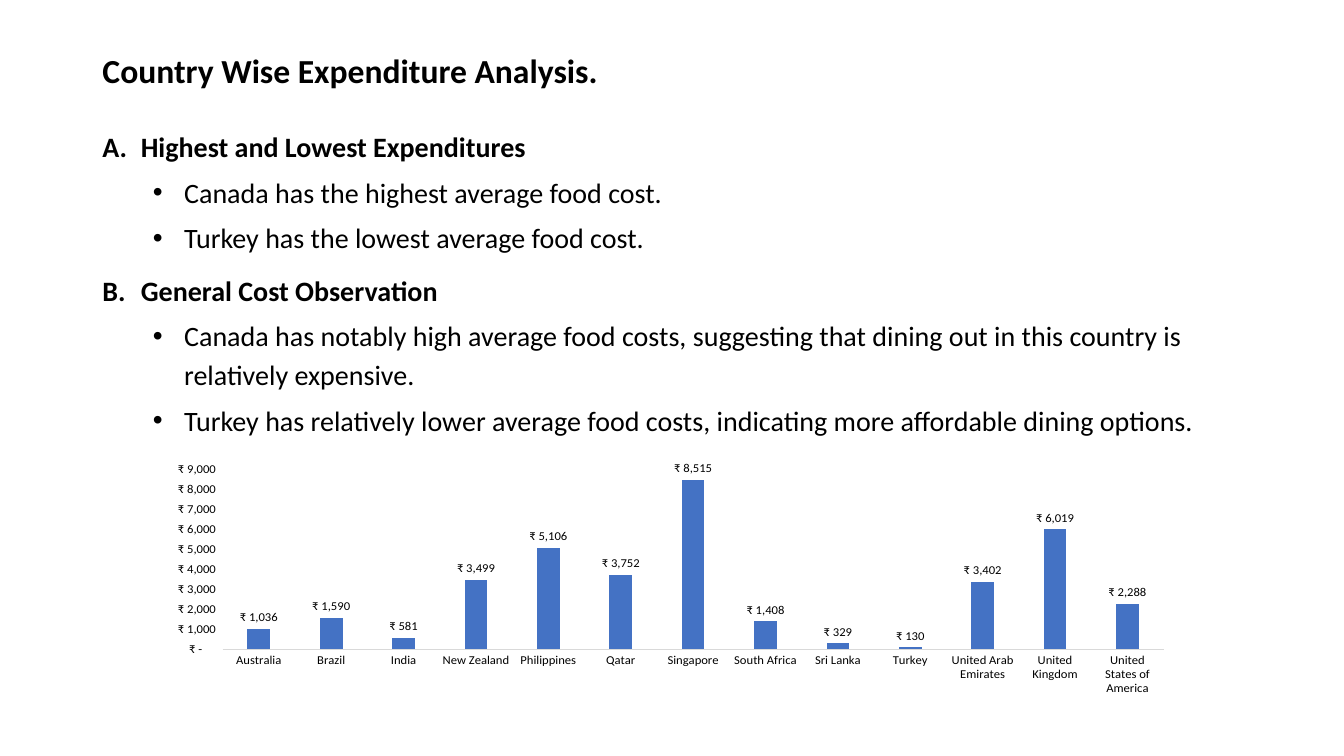
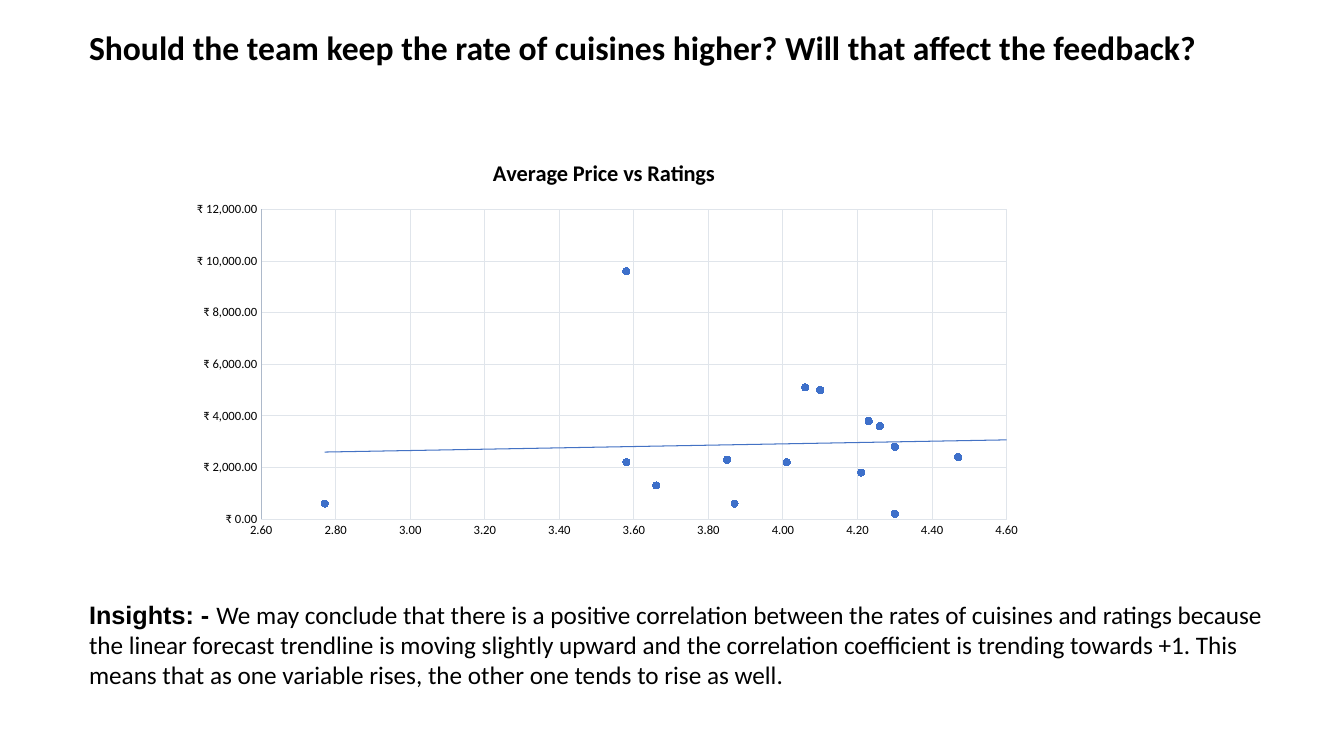
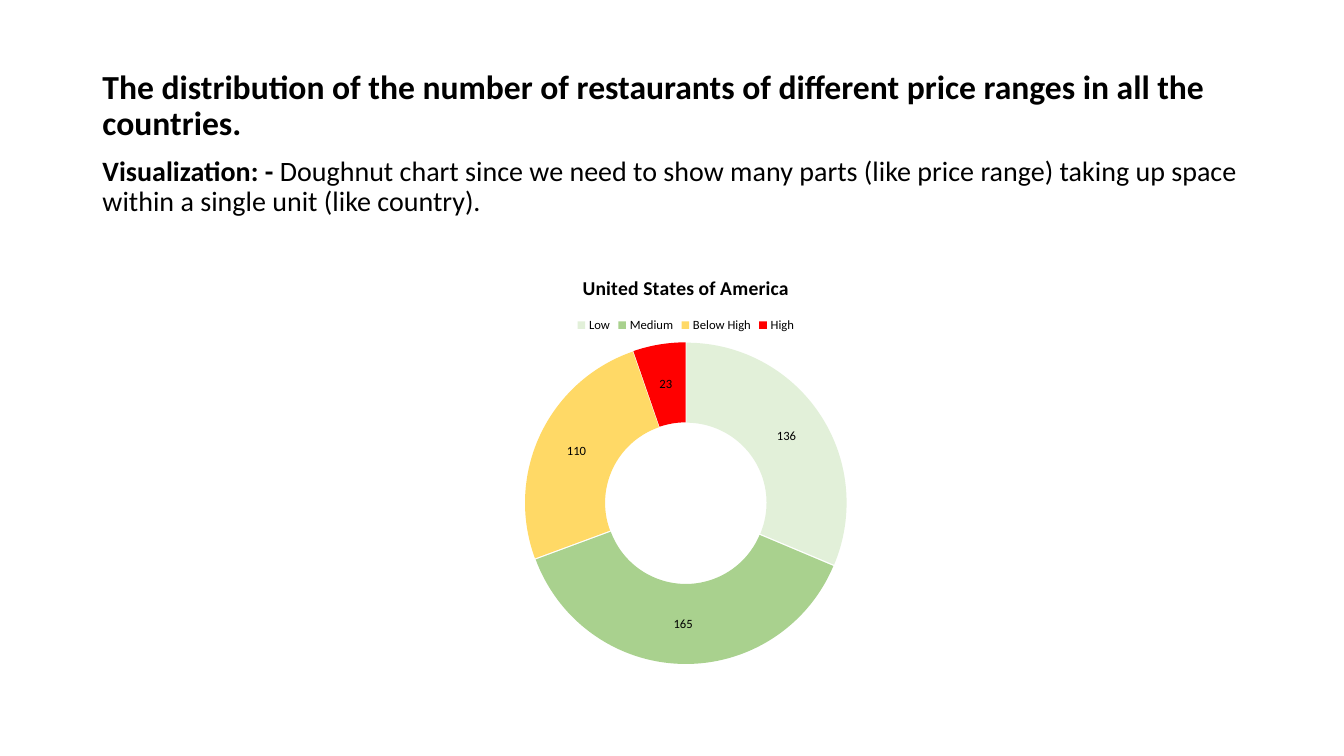
from pptx import Presentation
from pptx.chart.data import CategoryChartData, XyChartData
from pptx.dml.color import RGBColor
from pptx.enum.chart import XL_CHART_TYPE as Kind
from pptx.enum.chart import XL_LABEL_POSITION as LabelPlace
from pptx.enum.chart import XL_LEGEND_POSITION as LegendPlace
from pptx.enum.chart import XL_MARKER_STYLE as Marker
from pptx.enum.chart import XL_TICK_MARK as Tick
from pptx.enum.text import MSO_ANCHOR as Anchor
from pptx.enum.text import MSO_AUTO_SIZE as AutoSize
from pptx.enum.text import PP_ALIGN as Align
from pptx.oxml import parse_xml
from pptx.oxml.ns import nsdecls, qn
from pptx.util import Inches, Pt

COLUMNS, ROWS = 160, 90
BLUE, MARKER_BLUE = "4472C4", "3E70CA"
BASELINE_GREY, GRID_GREY, AXIS_GREY = "D9D9D9", "E0E5EB", "ADB9CA"
RUPEES = r'_ [$₹-4009]\ * #,##0_ ;_ [$₹-4009]\ * \-#,##0_ ;_ [$₹-4009]\ * "-"??_ ;_ @_ '
RUPEES_EXACT = r"[$₹-4009]\ #,##0.00"


def color(value):
    return RGBColor.from_string(value)


def insert_before(series, tag, xml):
    series._element.find(qn(tag)).addprevious(parse_xml(xml))


class Report:
    font = "Calibri"
    ink = "000000"
    title_size = 24
    body_size = 20

    def __init__(self):
        self.deck = Presentation()
        self.deck.slide_width = Inches(13.33)
        self.deck.slide_height = Inches(7.5)
        self.page = None

    def add_page(self):
        self.page = self.deck.slides.add_slide(self.deck.slide_layouts[1])

    def area(self, left, top, width, height):
        column = self.deck.slide_width / COLUMNS
        row = self.deck.slide_height / ROWS
        return [round(n) for n in (left * column, top * row, width * column, height * row)]

    def style(self, font, size, bold=False, name=None):
        font.name = name or self.font
        font.size = Pt(size)
        font.bold = bold
        font.color.rgb = color(self.ink)

    def place(self, box, area, anchor=Anchor.TOP):
        box.left, box.top, box.width, box.height = self.area(*area)
        frame = box.text_frame
        frame.auto_size = AutoSize.NONE
        frame.word_wrap = True
        frame.vertical_anchor = anchor
        return frame

    def title(self, text, area, anchor=Anchor.TOP):
        frame = self.place(self.page.shapes.title, area, anchor)
        frame.text = text
        para = frame.paragraphs[0]
        para.alignment = Align.LEFT
        para.line_spacing = 0.9
        self.style(para.runs[0].font, self.title_size, True)

    def bullet(self, para, margin, hanging, marks):
        properties = para._p.get_or_add_pPr()
        properties.set("marL", str(Inches(margin)))
        properties.set("indent", str(-Inches(hanging)))
        for mark in marks:
            properties.append(parse_xml(mark.replace("/>", f" {nsdecls('a')}/>")))

    def outline(self, sections, area):
        frame = self.place(self.page.placeholders[1], area)
        lines = []
        for heading, points in sections:
            lines += [(heading, 0)] + [(point, 1) for point in points]
        frame.text = "\n".join(text for text, level in lines)
        for para, (text, level) in zip(frame.paragraphs, lines):
            para.level = level
            para.line_spacing = 1.15
            para.space_before = Pt(5 if level else 10)
            self.style(para.runs[0].font, self.body_size, level == 0)
            if level:
                self.bullet(para, 0.81, 0.31, ['<a:buFont typeface="Arial"/>', '<a:buChar char="•"/>'])
            else:
                self.bullet(para, 0.38, 0.38, ['<a:buFont typeface="+mj-lt"/>', '<a:buAutoNum type="alphaUcPeriod"/>'])

    def remark(self, lead, text, area, size, spacing, lead_font=None):
        para = self.place(self.page.placeholders[1], area).paragraphs[0]
        para.line_spacing = spacing
        para.space_before = Pt(0)
        self.bullet(para, 0, 0, ["<a:buNone/>"])
        for words, bold, name in ((lead, True, lead_font), (text, False, None)):
            span = para.add_run()
            span.text = words
            self.style(span.font, size, bold, name)

    def chart(self, kind, data, area, plot, title=None, title_size=14):
        chart = self.page.shapes.add_chart(kind, *self.area(*area), data).chart
        self.style(chart.font, 10)
        chart.has_legend = False
        chart.has_title = title is not None
        if title:
            frame = chart.chart_title.text_frame
            frame.text = title
            self.style(frame.paragraphs[0].runs[0].font, title_size, True)
            chart.chart_title.include_in_layout = False
        self.plot_area(chart, plot)
        chart.plots[0].vary_by_categories = False
        return chart

    def plot_area(self, chart, plot):
        parts = '<c:layoutTarget val="inner"/><c:xMode val="edge"/><c:yMode val="edge"/>'
        parts += "".join(f'<c:{key} val="{share}"/>' for key, share in zip("xywh", plot))
        layout = parse_xml(f"<c:layout {nsdecls('c')}><c:manualLayout>{parts}</c:manualLayout></c:layout>")
        plot_box = chart._chartSpace.chart.plotArea
        for old in plot_box.findall(qn("c:layout")):
            plot_box.remove(old)
        plot_box.insert(0, layout)

    def line(self, line, shade):
        line.color.rgb = color(shade)
        line.width = Pt(0.75)

    def axis(self, axis, shade=None, grid=None, scale=None, number_format=None):
        axis.major_tick_mark = axis.minor_tick_mark = Tick.NONE
        self.style(axis.tick_labels.font, 9)
        axis.has_major_gridlines = grid is not None
        if grid:
            self.line(axis.major_gridlines.format.line, grid)
        if shade:
            self.line(axis.format.line, shade)
        else:
            axis.format.line.fill.background()
        if scale:
            axis.minimum_scale, axis.maximum_scale, axis.major_unit = scale
        if number_format:
            axis.tick_labels.number_format = number_format
            axis.tick_labels.number_format_is_linked = False

    def labels(self, series, number_format, position=None):
        labels = series.data_labels
        labels.show_value = True
        labels.number_format = number_format
        labels.number_format_is_linked = False
        self.style(labels.font, 9)
        if position is not None:
            labels.position = position

    def columns(self, values, area, plot, scale):
        data = CategoryChartData()
        data.categories = list(values)
        data.add_series("Series 1", list(values.values()))
        chart = self.chart(Kind.COLUMN_CLUSTERED, data, area, plot)
        bars = chart.plots[0]
        bars.gap_width, bars.overlap = 219, -27
        series = bars.series[0]
        series.format.fill.solid()
        series.format.fill.fore_color.rgb = color(BLUE)
        self.labels(series, RUPEES, LabelPlace.OUTSIDE_END)
        self.axis(chart.category_axis, BASELINE_GREY)
        self.axis(chart.value_axis, scale=scale, number_format=RUPEES)

    def scatter(self, title, points, area, plot, x_scale, y_scale):
        data = XyChartData()
        cloud = data.add_series("Series 1")
        for x, y in points:
            cloud.add_data_point(x, y)
        chart = self.chart(Kind.XY_SCATTER, data, area, plot, title, 16)
        series = chart.plots[0].series[0]
        series.format.line.fill.background()
        series.marker.style = Marker.CIRCLE
        series.marker.size = 5
        series.marker.format.fill.solid()
        series.marker.format.fill.fore_color.rgb = color(MARKER_BLUE)
        series.marker.format.line.fill.background()
        forward = round(x_scale[1] - max(x for x, y in points), 2)
        insert_before(series, "c:xVal", (
            f'<c:trendline {nsdecls("c", "a")}><c:spPr><a:ln w="{Pt(0.75)}"><a:solidFill>'
            f'<a:srgbClr val="{BLUE}"/></a:solidFill></a:ln></c:spPr>'
            f'<c:trendlineType val="linear"/><c:forward val="{forward}"/>'
            '<c:dispRSqr val="0"/><c:dispEq val="0"/></c:trendline>'))
        self.axis(chart.category_axis, GRID_GREY, GRID_GREY, x_scale, "0.00")
        self.axis(chart.value_axis, AXIS_GREY, GRID_GREY, y_scale, RUPEES_EXACT)

    def doughnut(self, title, slices, area, plot):
        data = CategoryChartData()
        data.categories = [name for name, count, shade in slices]
        data.add_series(title, [count for name, count, shade in slices])
        chart = self.chart(Kind.DOUGHNUT, data, area, plot, title)
        chart.plots[0].vary_by_categories = True
        chart.plots[0]._element.find(qn("c:holeSize")).set("val", "59")
        chart.has_legend = True
        chart.legend.position = LegendPlace.TOP
        chart.legend.include_in_layout = False
        self.style(chart.legend.font, 9)
        series = chart.plots[0].series[0]
        for index, (name, count, shade) in enumerate(slices):
            fill = series.points[index].format.fill
            fill.solid()
            fill.fore_color.rgb = color(shade)
        insert_before(series, "c:dPt", f'<c:explosion {nsdecls("c")} val="1"/>')
        self.labels(series, "0")


def expenditure_page(report):
    report.add_page()
    report.title("Country Wise Expenditure Analysis.", (11, 4.8, 138, 7.7), Anchor.MIDDLE)
    report.outline([
        ("Highest and Lowest Expenditures", [
            "Canada has the highest average food cost.",
            "Turkey has the lowest average food cost."]),
        ("General Cost Observation", [
            "Canada has notably high average food costs, suggesting that dining out in this country is relatively expensive.",
            "Turkey has relatively lower average food costs, indicating more affordable dining options."]),
    ], (11, 14.2, 138, 68.6))
    costs = {
        "Australia": 1036, "Brazil": 1590, "India": 581, "New Zealand": 3499,
        "Philippines": 5106, "Qatar": 3752, "Singapore": 8515, "South Africa": 1408,
        "Sri Lanka": 329, "Turkey": 130, "United Arab Emirates": 3402,
        "United Kingdom": 6019, "United States of America": 2288,
    }
    report.columns(costs, (17.9, 54.6, 123.1, 28.2), (0.07, 0.05, 0.91, 0.79), (0, 9000, 1000))


def ratings_page(report):
    report.add_page()
    report.title("Should the team keep the rate of cuisines higher? Will that affect the feedback?",
                 (9.4, 3.2, 149.3, 8))
    points = [
        (3.66, 1300), (3.85, 2300), (3.58, 2200), (2.77, 600), (4.3, 2800),
        (4.26, 3600), (4.47, 2400), (4.06, 5100), (3.58, 9600), (4.21, 1800),
        (3.87, 600), (4.3, 200), (4.23, 3800), (4.1, 5000), (4.01, 2200),
    ]
    report.scatter("Average Price vs Ratings", points, (20.9, 16.7, 102, 48.5),
                   (0.1, 0.17, 0.87, 0.76), (2.6, 4.6, 0.2), (0, 12000, 2000))
    report.remark(
        "Insights: - ",
        "We may conclude that there is a positive correlation between the rates of cuisines and ratings "
        "because the linear forecast trendline is moving slightly upward and the correlation coefficient "
        "is trending towards +1. This means that as one variable rises, the other one tends to rise as well.",
        (9.4, 70.7, 145.8, 19.3), 18, 1, "Arial")


def price_range_page(report):
    report.add_page()
    report.title("The distribution of the number of restaurants of different price ranges in all the countries.",
                 (11, 7.8, 138, 10))
    report.remark(
        "Visualization: - ",
        "Doughnut chart since we need to show many parts (like price range) taking up space "
        "within a single unit (like country).",
        (11, 18.1, 138, 9), report.body_size, 0.9)
    report.doughnut("United States of America", [
        ("Low", 136, "E2F0D9"), ("Medium", 165, "A9D18E"),
        ("Below High", 110, "FFD966"), ("High", 23, "FF0000"),
    ], (17.8, 30.5, 127.7, 53), (0.35, 0.19, 0.3, 0.73))


def main():
    report = Report()
    for build in (expenditure_page, ratings_page, price_range_page):
        build(report)
    report.deck.save("out.pptx")


if __name__ == "__main__":
    main()
